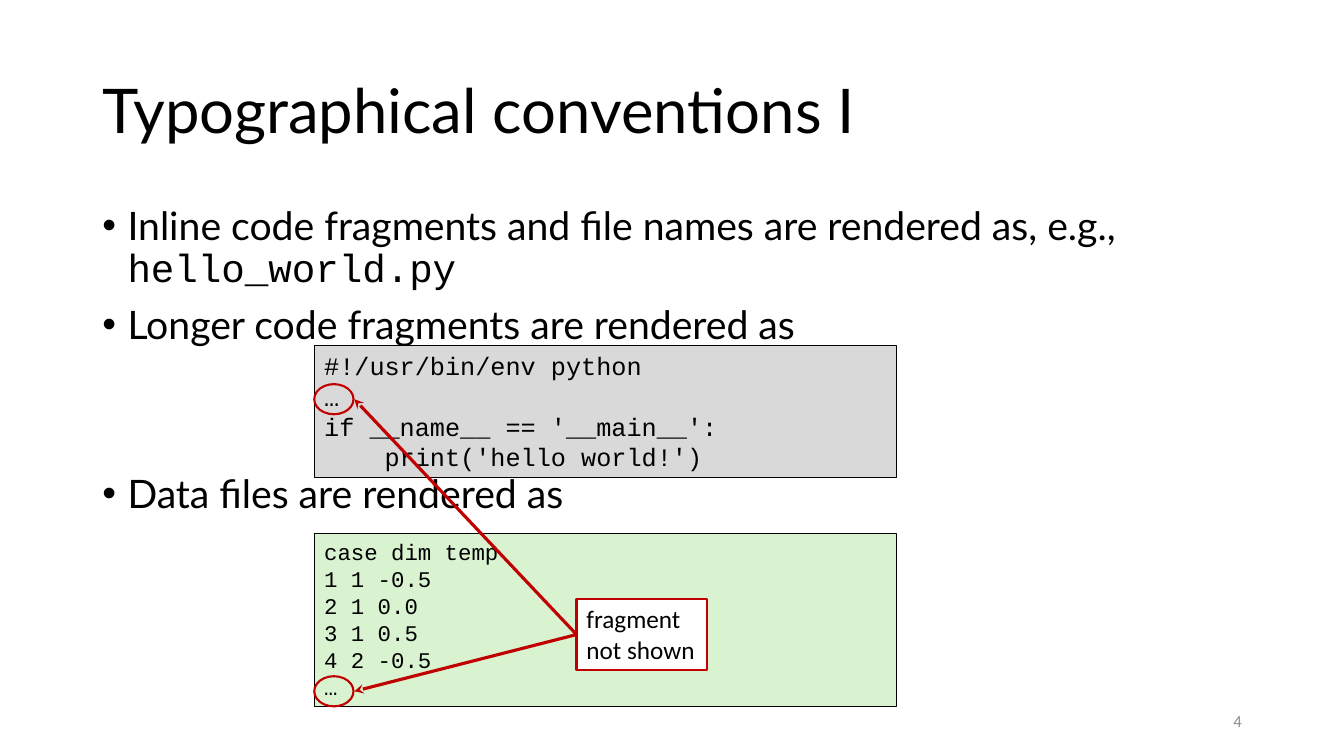
from dataclasses import dataclass

from lxml import etree
from pptx import Presentation
from pptx import util as u
from pptx.dml.color import RGBColor
from pptx.enum import shapes, text
from pptx.oxml import ns


@dataclass(frozen=True)
class Theme:
    ink: str = "000000"
    paper: str = "FFFFFF"
    muted: str = "8C8C8C"
    accent: str = "C00000"
    code_fill: str = "D9D9D9"
    data_fill: str = "D9F2D0"
    heading_font: str = "Lato"
    code_font: str = "Courier New"
    note_font: str = "Calibri"
    title_size: int = 44
    body_size: int = 28
    code_size: int = 18
    data_size: int = 16
    note_size: int = 18
    number_size: int = 12


@dataclass(frozen=True)
class Box:
    """A region in centimetres."""
    left: float
    top: float
    width: float
    height: float

    def lengths(self):
        return [u.Cm(v) for v in (self.left, self.top, self.width, self.height)]


THEME = Theme()
CODE = ["#!/usr/bin/env python", "…", "if __name__ == '__main__':",
        "    print('hello world!')"]
DATA = ["case dim temp", "1 1 -0.5", "2 1 0.0", "3 1 0.5", "4 2 -0.5", "…"]
BULLETS = [
    # text, code at its end, space before in points
    ("Inline code fragments and file names are rendered as, e.g., ", "hello_world.py", 10),
    ("Longer code fragments are rendered as", "", 10),
    ("Data files are rendered as", "", 90.5),
]


def style(span, font, size, color=THEME.ink):
    span.font.name = font
    span.font.size = u.Pt(size)
    span.font.color.rgb = RGBColor.from_string(color)


def add_text_box(page, box, anchor=text.MSO_ANCHOR.MIDDLE):
    frame = page.shapes.add_textbox(*box.lengths()).text_frame
    frame.word_wrap = True
    frame.vertical_anchor = anchor
    return frame


def add_outlined(page, preset, box, line, width, fill=None):
    shape = page.shapes.add_shape(preset, *box.lengths())
    shape.shadow.inherit = False
    shape.line.color.rgb = RGBColor.from_string(line)
    shape.line.width = u.Pt(width)
    if fill:
        shape.fill.solid()
        shape.fill.fore_color.rgb = RGBColor.from_string(fill)
    else:
        shape.fill.background()
    return shape


def write_lines(shape, lines, font, size, wrap=True):
    frame = shape.text_frame
    frame.text = "\n".join(lines)
    frame.word_wrap = wrap
    frame.auto_size = text.MSO_AUTO_SIZE.SHAPE_TO_FIT_TEXT
    frame.vertical_anchor = text.MSO_ANCHOR.TOP
    for para in frame.paragraphs:
        para.alignment = text.PP_ALIGN.LEFT
        for span in para.runs:
            style(span, font, size)


def add_title(page, box):
    para = add_text_box(page, box).paragraphs[0]
    para.text = "Typographical conventions I"
    para.line_spacing = 0.9
    style(para.runs[0], THEME.heading_font, THEME.title_size)


def add_bullets(page, box):
    frame = add_text_box(page, box, text.MSO_ANCHOR.TOP)
    frame.text = "\n".join(words for words, _, _ in BULLETS)
    for para, (_, code, space) in zip(frame.paragraphs, BULLETS):
        para.line_spacing = 0.9
        para.space_before = u.Pt(space)
        style(para.runs[0], THEME.heading_font, THEME.body_size)
        if code:
            span = para.add_run()
            span.text = code
            style(span, THEME.code_font, THEME.body_size)
        props = para._p.get_or_add_pPr()
        indent = u.Pt(18)
        props.set("marL", str(indent))
        props.set("indent", str(-indent))
        etree.SubElement(props, ns.qn("a:buFont"), typeface="Arial")
        etree.SubElement(props, ns.qn("a:buChar"), char="•")


def add_page_number(page, box):
    para = add_text_box(page, box).paragraphs[0]
    para.text = "4"
    para.alignment = text.PP_ALIGN.RIGHT
    style(para.runs[0], THEME.note_font, THEME.number_size, THEME.muted)


def add_listing(page, box, lines, size, fill):
    panel = add_outlined(page, shapes.MSO_SHAPE.RECTANGLE, box, THEME.ink, 0.75, fill)
    write_lines(panel, lines, THEME.code_font, size)


def add_arrow(page, label, x, y):
    """Point from the left side of the label to (x, y)."""
    arrow = page.shapes.add_connector(
        shapes.MSO_CONNECTOR.STRAIGHT, label.left, label.top, u.Cm(x), u.Cm(y))
    arrow.begin_connect(label, 1)
    arrow.line.color.rgb = RGBColor.from_string(THEME.accent)
    arrow.line.width = u.Pt(2.25)
    etree.SubElement(arrow.line._get_or_add_ln(), ns.qn("a:tailEnd"), type="stealth")
    etree.SubElement(arrow._element.spPr, ns.qn("a:effectLst"))


def add_omission_note(page, box, rings):
    """Label the ringed ellipses as fragments that are left out."""
    label = add_outlined(page, shapes.MSO_SHAPE.RECTANGLE, box,
                         THEME.accent, 1.5, THEME.paper)
    write_lines(label, ["fragment\vnot shown"], THEME.note_font, THEME.note_size, wrap=False)
    for ring in rings:
        add_outlined(page, shapes.MSO_SHAPE.OVAL, ring, THEME.accent, 1.5)
        add_arrow(page, label, ring.left + ring.width + 0.02, ring.top + ring.height / 2)


def build_conventions(page):
    code_box = Box(7.92, 8.71, 14.68, 3.33)
    data_box = Box(7.92, 13.44, 14.68, 4.37)
    rings = [Box(box.left, box.top + drop, 0.99, 0.76)
             for box, drop in ((data_box, 3.6), (code_box, 0.97))]
    add_title(page, Box(2.33, 1.02, 29.21, 3.68))
    add_bullets(page, Box(2.33, 5.08, 29.21, 12.09))
    add_page_number(page, Box(23.93, 17.65, 7.62, 1.02))
    add_listing(page, code_box, CODE, THEME.code_size, THEME.code_fill)
    add_listing(page, data_box, DATA, THEME.data_size, THEME.data_fill)
    add_omission_note(page, Box(14.53, 15.09, 3.28, 1.8), rings)


def main():
    deck = Presentation()
    deck.slide_width, deck.slide_height = u.Cm(33.87), u.Cm(19.05)
    build_conventions(deck.slides.add_slide(deck.slide_layouts[6]))
    deck.save("out.pptx")


if __name__ == "__main__":
    main()
